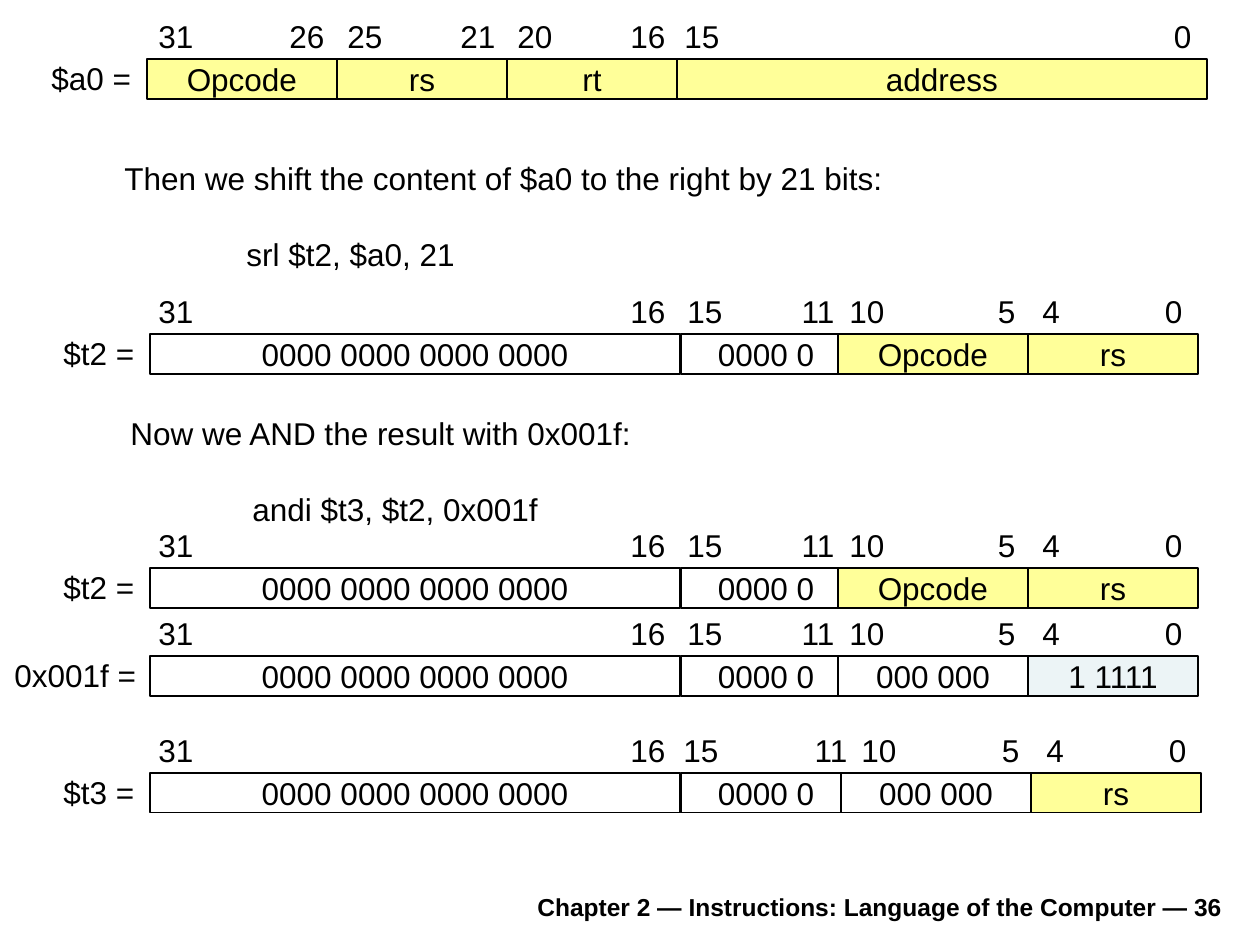
import pptx
import pptx.util
import pptx.dml.color
import pptx.enum.shapes
import pptx.enum.text
import lxml.etree

PX = 914400 // 126
INSET = 13
CELL_HEIGHT = 40
LABEL_HEIGHT = 50
BLACK = pptx.dml.color.RGBColor(0x00, 0x00, 0x00)
WHITE = pptx.dml.color.RGBColor(0xFF, 0xFF, 0xFF)
YELLOW = pptx.dml.color.RGBColor(0xFF, 0xFF, 0x99)
PALE_BLUE = pptx.dml.color.RGBColor(0xEC, 0xF4, 0xF6)
ALIGN = pptx.enum.text.PP_ALIGN
ANCHOR = pptx.enum.text.MSO_ANCHOR
DRAWING_NS = "{http://schemas.openxmlformats.org/drawingml/2006/main}"


def px(*lengths):
    return [pptx.util.Emu(length * PX) for length in lengths]


def write(shape, *lines, size=18, bold=False, align=ALIGN.LEFT,
          anchor=ANCHOR.TOP, wrap=True):
    """Write each line as a paragraph of the shape and return the paragraphs."""
    frame = shape.text_frame
    frame.word_wrap = wrap
    frame.vertical_anchor = anchor
    for index, line in enumerate(lines):
        para = frame.add_paragraph() if index else frame.paragraphs[0]
        para.alignment = align
        span = para.add_run()
        span.text = line
        span.font.name = "Arial"
        span.font.size = pptx.util.Pt(size)
        span.font.bold = bold
        span.font.color.rgb = BLACK
    return frame.paragraphs


def add_cell(page, left, top, width, text, fill):
    cell = page.shapes.add_shape(
        pptx.enum.shapes.MSO_SHAPE.RECTANGLE, *px(left, top, width, CELL_HEIGHT))
    cell.shadow.inherit = False
    cell.fill.solid()
    cell.fill.fore_color.rgb = fill
    cell.line.color.rgb = BLACK
    cell.line.width = pptx.util.Pt(0.75)
    write(cell, text, align=ALIGN.CENTER, anchor=ANCHOR.MIDDLE, wrap=False)


def add_bit_range(page, left, top, width, high, low):
    """Put the high bit at the left end and the low bit at a right tab."""
    box = page.shapes.add_textbox(*px(left, top, width, LABEL_HEIGHT))
    box.text_frame.margin_right = 0
    para = write(box, f"{high}\t{low}", anchor=ANCHOR.MIDDLE)[0]
    tabs = lxml.etree.SubElement(para._p.get_or_add_pPr(), DRAWING_NS + "tabLst")
    lxml.etree.SubElement(tabs, DRAWING_NS + "tab",
                          pos=str((width - 2 * INSET) * PX), algn="r")


def add_register(page, top, name, name_box, cells, bit_ranges):
    """Draw a register: its name, its fields and the bit numbers above them."""
    name_left, name_width = name_box
    box = page.shapes.add_textbox(
        *px(name_left, top - 6, name_width, LABEL_HEIGHT))
    box.text_frame.margin_right = 0
    write(box, name)
    for left, width, text, fill in cells:
        add_cell(page, left, top, width, text, fill)
    for left, width, high, low in bit_ranges:
        add_bit_range(page, left, top - 48, width, high, low)


def add_step(page, left, top, width, sentence, instruction):
    box = page.shapes.add_textbox(*px(left, top, width, 126))
    code = write(box, sentence, instruction)[1]
    code.space_before = pptx.util.Pt(22)
    code._p.get_or_add_pPr().set("marL", str(122 * PX))


def add_footer(page, left, top, width, height, text):
    box = page.shapes.add_textbox(*px(left, top, width, height))
    write(box, text, size=14, bold=True, align=ALIGN.RIGHT, anchor=ANCHOR.BOTTOM)


def main():
    deck = pptx.Presentation()
    deck.slide_width, deck.slide_height = px(1260, 945)
    page = deck.slides.add_slide(deck.slide_layouts[6])

    add_register(
        page, 59, "$a0 =", (39, 105),
        [(147, 190, "Opcode", YELLOW), (337, 170, "rs", YELLOW),
         (507, 170, "rt", YELLOW), (677, 530, "address", YELLOW)],
        [(146, 192, 31, 26), (335, 174, 25, 21),
         (505, 174, 20, 16), (672, 533, 15, 0)])

    add_step(page, 112, 153, 800,
             "Then we shift the content of $a0 to the right by 21 bits:",
             "srl $t2, $a0, 21")
    add_step(page, 118, 408, 540,
             "Now we AND the result with 0x001f:", "andi $t3, $t2, 0x001f")

    zeros = [(150, 530, "0000 0000 0000 0000", WHITE),
             (681, 170, "0000 0", WHITE)]
    shifted = zeros + [(838, 190, "Opcode", YELLOW), (1028, 170, "rs", YELLOW)]
    mask = zeros + [(838, 190, "000 000", WHITE),
                    (1028, 170, "1 1111", PALE_BLUE)]
    result = zeros + [(841, 190, "000 000", WHITE), (1031, 170, "rs", YELLOW)]
    bits = [(146, 533, 31, 16), (675, 173, 15, 11),
            (837, 192, 10, 5), (1030, 166, 4, 0)]
    result_bits = [(146, 533, 31, 16), (671, 190, 15, 11),
                   (849, 184, 10, 5), (1034, 166, 4, 0)]
    short_name = (51, 96)
    for top, name, name_box, cells, ranges in [
            (334, "$t2 =", short_name, shifted, bits),
            (568, "$t2 =", short_name, shifted, bits),
            (656, "0x001f =", (2, 146), mask, bits),
            (773, "$t3 =", short_name, result, result_bits)]:
        add_register(page, top, name, name_box, cells, ranges)

    add_footer(page, 233, 879, 1002, 49,
               "Chapter 2 — Instructions: Language of the Computer — 36")
    deck.save("out.pptx")


if __name__ == "__main__":
    main()
